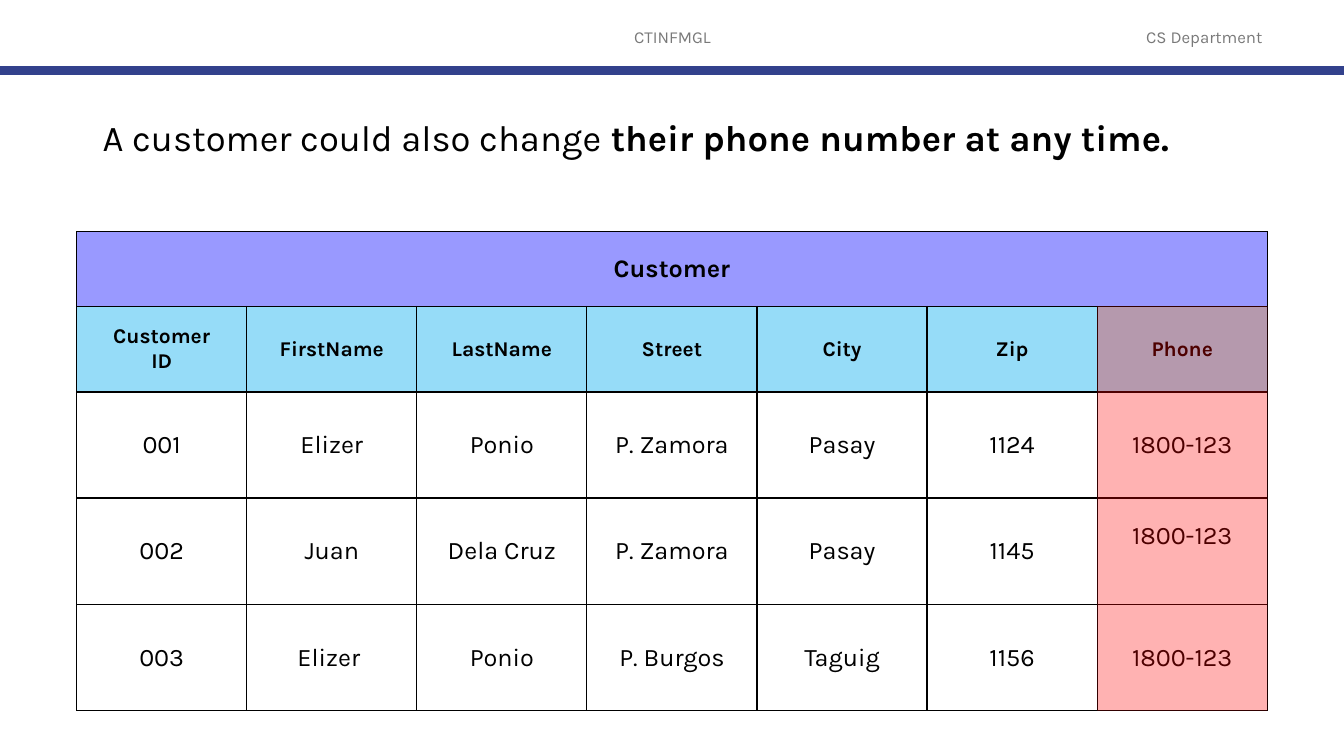
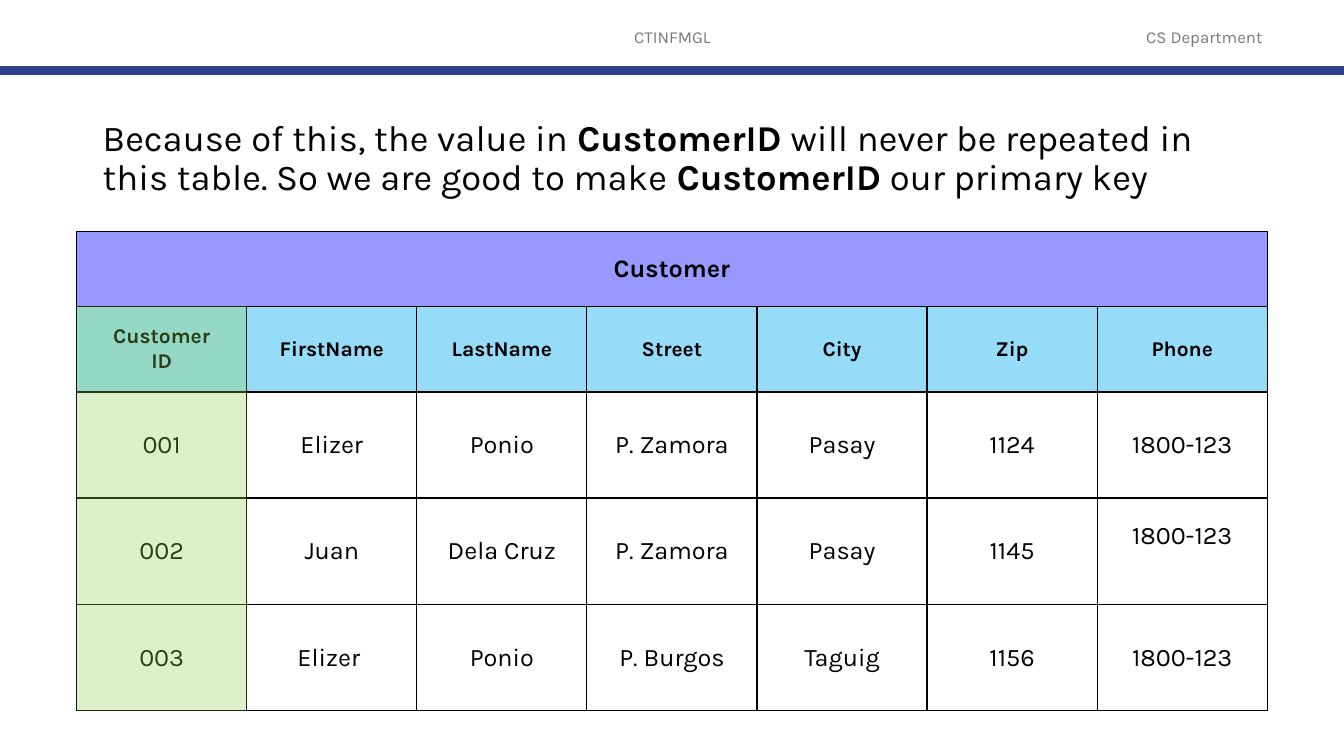
from lxml import etree
from pptx import Presentation
from pptx.dml.color import RGBColor
from pptx.enum.shapes import MSO_CONNECTOR, MSO_SHAPE
from pptx.enum.text import MSO_ANCHOR, PP_ALIGN
from pptx.oxml.ns import qn
from pptx.util import Inches, Pt

FONT = "Karla"
BLACK = RGBColor(0x00, 0x00, 0x00)
GREY = RGBColor(0x79, 0x79, 0x79)
NAVY = RGBColor(0x32, 0x41, 0x8C)
VIOLET = RGBColor(0x99, 0x99, 0xFF)
SKY = RGBColor(0x96, 0xDC, 0xF8)
RED = RGBColor(0xFF, 0x00, 0x00)
GREEN = RGBColor(0x92, 0xD0, 0x50)

SLIDE_WIDTH, SLIDE_HEIGHT = 13.33, 7.5
TABLE_BOX = (0.76, 2.3, 11.81)
ROW_HEIGHTS = [0.74, 0.85, 1.05, 1.06, 1.05]

TABLE_TITLE = "Customer"
FIELDS = ["Customer\nID", "FirstName", "LastName", "Street", "City", "Zip", "Phone"]
RECORDS = [
    ["001", "Elizer", "Ponio", "P. Zamora", "Pasay", "1124", "1800-123"],
    ["002", "Juan", "Dela Cruz", "P. Zamora", "Pasay", "1145", "1800-123"],
    ["003", "Elizer ", "Ponio", "P. Burgos", "Taguig", "1156", "1800-123"],
]
RAISED_PHONE = (3, 6)

SLIDES = [
    ("A customer could also change **their phone number at any time.**", 6, RED),
    ("Because of this, the value in **CustomerID** will never be repeated in "
     "this table. So we are good to make **CustomerID** our primary key", 0, GREEN),
]


def write_text(frame, text, size=18, color=BLACK, bold=False,
               align=PP_ALIGN.CENTER, line_spacing=None):
    """Fill a text frame; newlines part paragraphs, ** switches bold."""
    frame.word_wrap = True
    for index, line in enumerate(text.split("\n")):
        paragraph = frame.add_paragraph() if index else frame.paragraphs[0]
        paragraph.alignment = align
        paragraph.line_spacing = line_spacing
        for part, words in enumerate(line.split("**")):
            if words:
                run = paragraph.add_run()
                run.text = words
                run.font.name = FONT
                run.font.size = Pt(size)
                run.font.color.rgb = color
                run.font.bold = bold != (part % 2 == 1)


def add_text(slide, box, text, anchor=MSO_ANCHOR.MIDDLE, **style):
    frame = slide.shapes.add_textbox(*map(Inches, box)).text_frame
    frame.vertical_anchor = anchor
    write_text(frame, text, **style)


def add_header(slide):
    add_text(slide, (4.42, 0.17, 4.5, 0.4), "CTINFMGL", size=12, color=GREY)
    add_text(slide, (10.92, 0.17, 2.05, 0.4), "CS Department", size=12, color=GREY)
    rule = slide.shapes.add_connector(
        MSO_CONNECTOR.STRAIGHT, 0, Inches(0.7), Inches(SLIDE_WIDTH), Inches(0.7))
    rule.line.color.rgb = NAVY
    rule.line.width = Pt(6)
    etree.SubElement(rule._element.spPr, qn("a:effectLst"))


def add_borders(cell):
    properties = cell._tc.get_or_add_tcPr()
    for side in ("lnL", "lnR", "lnT", "lnB"):
        border = etree.SubElement(properties, qn(f"a:{side}"), w=str(Pt(1)))
        fill = etree.SubElement(border, qn("a:solidFill"))
        etree.SubElement(fill, qn("a:srgbClr"), val=str(BLACK))


def fill_cell(cell, text, fill=None, **style):
    cell.vertical_anchor = MSO_ANCHOR.MIDDLE
    if fill is None:
        cell.fill.background()
    else:
        cell.fill.solid()
        cell.fill.fore_color.rgb = fill
    write_text(cell.text_frame, text, **style)


def add_customer_table(slide, box):
    left, top, width = box
    table = slide.shapes.add_table(
        len(ROW_HEIGHTS), len(FIELDS), Inches(left), Inches(top),
        Inches(width), Inches(sum(ROW_HEIGHTS))).table
    table.first_row = table.horz_banding = False
    for column in table.columns:
        column.width = Inches(width / len(FIELDS))
    for row, height in zip(table.rows, ROW_HEIGHTS):
        row.height = Inches(height)
    for cell in table.iter_cells():
        add_borders(cell)

    table.cell(0, 0).merge(table.cell(0, len(FIELDS) - 1))
    fill_cell(table.cell(0, 0), TABLE_TITLE, fill=VIOLET, bold=True)
    for column, field in enumerate(FIELDS):
        fill_cell(table.cell(1, column), field, fill=SKY, size=15, bold=True)
    for row, record in enumerate(RECORDS, start=2):
        for column, value in enumerate(record):
            fill_cell(table.cell(row, column), value)
    table.cell(*RAISED_PHONE).margin_bottom = Inches(0.35)


def highlight_column(slide, box, column, color):
    """Tint one column of the table below its title row."""
    left, top, width = box
    column_width = width / len(FIELDS)
    tint = slide.shapes.add_shape(
        MSO_SHAPE.RECTANGLE, Inches(left + column * column_width),
        Inches(top + ROW_HEIGHTS[0]), Inches(column_width),
        Inches(sum(ROW_HEIGHTS[1:])))
    tint.shadow.inherit = False
    tint.line.fill.background()
    tint.fill.solid()
    tint.fill.fore_color.rgb = color
    shade = tint._element.spPr.find(qn("a:solidFill")).find(qn("a:srgbClr"))
    etree.SubElement(shade, qn("a:alpha"), val="30000")


def add_key_slide(deck, statement, column, color):
    slide = deck.slides.add_slide(deck.slide_layouts[6])
    add_header(slide)
    add_text(slide, (0.92, 1.14, 11.5, 1.1), statement, anchor=MSO_ANCHOR.TOP,
             size=26, align=PP_ALIGN.LEFT, line_spacing=0.9)
    add_customer_table(slide, TABLE_BOX)
    highlight_column(slide, TABLE_BOX, column, color)


def main():
    deck = Presentation()
    deck.slide_width = Inches(SLIDE_WIDTH)
    deck.slide_height = Inches(SLIDE_HEIGHT)
    for statement, column, color in SLIDES:
        add_key_slide(deck, statement, column, color)
    deck.save("out.pptx")


if __name__ == "__main__":
    main()
